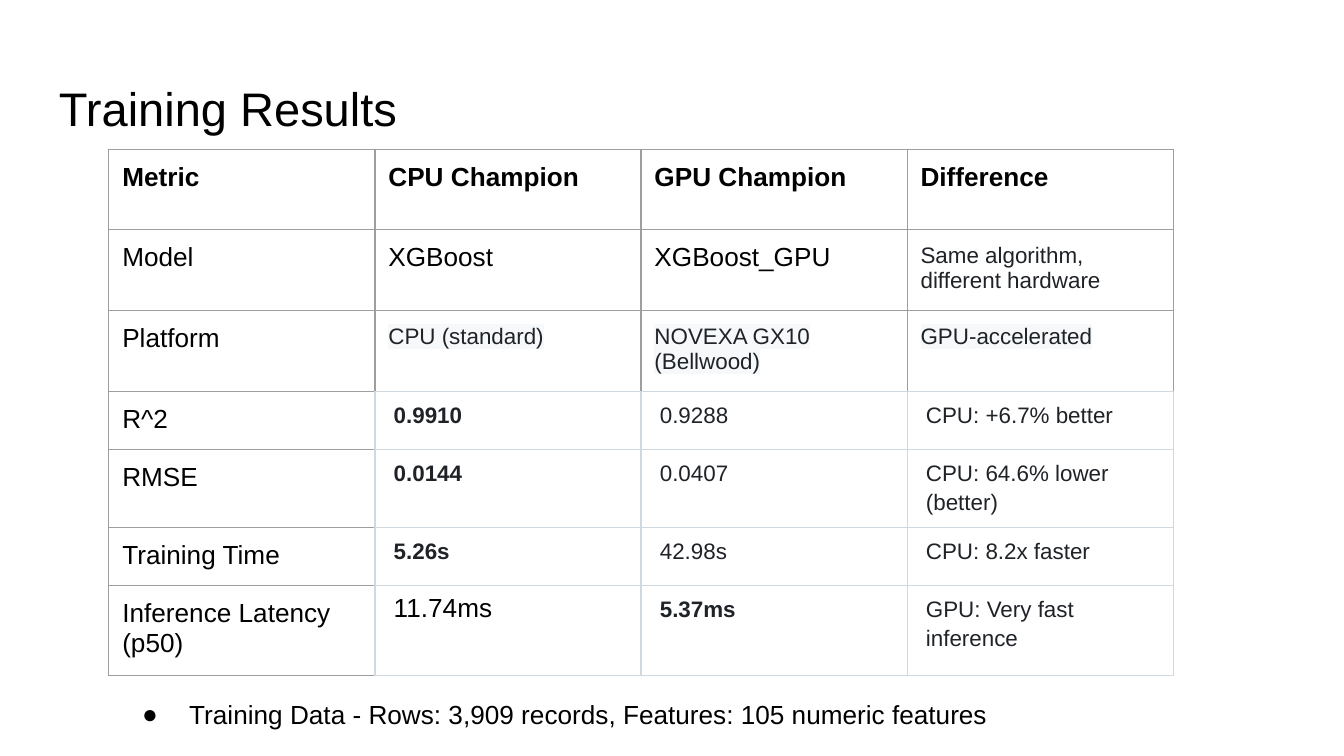
from lxml import etree
from pptx import Presentation
from pptx.dml.color import RGBColor
from pptx.enum import text
from pptx.oxml.ns import qn
from pptx.util import Inches, Pt

# Content
TITLE = "Training Results"
ROWS = [
    ("Metric", "CPU Champion", "GPU Champion", "Difference"),
    ("Model", "XGBoost", "XGBoost_GPU", "Same algorithm, different hardware"),
    ("Platform", "CPU (standard)", "NOVEXA GX10 (Bellwood)", "GPU-accelerated"),
    ("R^2", "0.9910", "0.9288", "CPU: +6.7% better"),
    ("RMSE", "0.0144", "0.0407", "CPU: 64.6% lower (better)"),
    ("Training Time", "5.26s", "42.98s", "CPU: 8.2x faster"),
    ("Inference Latency (p50)", "11.74ms", "5.37ms", "GPU: Very fast inference"),
]
BULLET = "Training Data - Rows: 3,909 records, Features: 105 numeric features"
WINNERS = {"0.9910", "0.0144", "5.26s", "5.37ms"}
LARGE_VALUES = {"XGBoost", "XGBoost_GPU", "11.74ms"}

COLORS = {"black": "000000", "ink": "1F2328", "white": "FFFFFF", "tint": "F6F8FA",
          "grey": "9E9E9E", "pale": "D1D9E0"}
FONT = "Arial"
SLIDE_W = 10
LEFT, TABLE_TOP, COL_W, FRAME = 0.81, 1.11, 1.98, 3.28
HEADER_H, ROW_H = 0.6, 0.42
EDGES = {"lnL": (0, -1), "lnR": (0, 1), "lnT": (-1, 0), "lnB": (1, 0)}


def add_color(parent, tag, color):
    node = etree.SubElement(parent, qn(tag))
    etree.SubElement(node, qn("a:srgbClr")).set("val", COLORS[color])
    return node


def add_run(p, words, size, color="black", bold=False, highlight=None):
    r = p.add_run()
    r.text = words
    r.font.size, r.font.name, r.font.bold = Pt(size), FONT, bold
    r.font.color.rgb = RGBColor.from_string(COLORS[color])
    if highlight:
        rpr = r.font._element
        rpr.find(qn("a:solidFill")).addnext(add_color(rpr, "a:highlight", highlight))


def add_text_box(slide, left, top, width, height):
    tf = slide.shapes.add_textbox(*map(Inches, (left, top, width, height))).text_frame
    tf.word_wrap = True
    tf.vertical_anchor = text.MSO_ANCHOR.TOP
    tf.margin_left = tf.margin_right = tf.margin_top = tf.margin_bottom = Inches(0.1)
    return tf.paragraphs[0]


def is_result(row, col):
    return 3 <= row < len(ROWS) and 1 <= col < len(ROWS[0])


def set_borders(cell, row, col):
    """An edge is pale when it touches a result cell, otherwise grey."""
    tcpr = cell._tc.get_or_add_tcPr()
    for i, (tag, (dr, dc)) in enumerate(EDGES.items()):
        pale = is_result(row, col) or is_result(row + dr, col + dc)
        ln = etree.Element(qn("a:" + tag), w=str(Pt(0.75)))
        add_color(ln, "a:solidFill", "pale" if pale else "grey")
        tcpr.insert(i, ln)


def fill_cell(cell, row, col, words):
    result = is_result(row, col)
    cell.margin_left = cell.margin_right = Inches(0.14 if result else 0.1)
    cell.margin_top = cell.margin_bottom = Inches(0.06 if result else 0.1)
    cell.fill.background()
    set_borders(cell, row, col)
    p = cell.text_frame.paragraphs[0]
    if row == 0 or col == 0 or words in LARGE_VALUES:
        add_run(p, words, 14, bold=row == 0)
    else:
        if result:
            p.line_spacing = 1.15
        add_run(p, words, 12, "ink", words in WINNERS, "tint" if row == 2 else "white")


prs = Presentation()
prs.slide_width, prs.slide_height = Inches(SLIDE_W), Inches(SLIDE_W * 9 / 16)
s = prs.slides.add_slide(prs.slide_layouts[6])

# Title
add_run(add_text_box(s, 0.34, 0.49, 9.32, 0.63), TITLE, 25.2)

# Results table
n_rows, n_cols = len(ROWS), len(ROWS[0])
frame = s.shapes.add_table(n_rows, n_cols, Inches(LEFT), Inches(TABLE_TOP),
                           Inches(FRAME), Inches(FRAME))
table = frame.table
table.first_row = table.horz_banding = False
for column in table.columns:
    column.width = Inches(COL_W)
for i, values in enumerate(ROWS):
    table.rows[i].height = Inches(ROW_H if i else HEADER_H)
    for j, words in enumerate(values):
        fill_cell(table.cell(i, j), i, j, words)
# Row and column sizes reset the frame, so its size is set last
frame.width = frame.height = Inches(FRAME)

# Bullet below the table
p = add_text_box(s, LEFT, 5.1, 7.96, 0.35)
ppr = p._p.get_or_add_pPr()
ppr.set("marL", str(Inches(0.5)))
ppr.set("indent", str(Inches(-0.35)))
add_color(ppr, "a:buClr", "black")
etree.SubElement(ppr, qn("a:buSzPts")).set("val", "1400")
etree.SubElement(ppr, qn("a:buFont")).set("typeface", FONT)
etree.SubElement(ppr, qn("a:buChar")).set("char", "●")
add_run(p, BULLET, 14)

prs.save("out.pptx")
